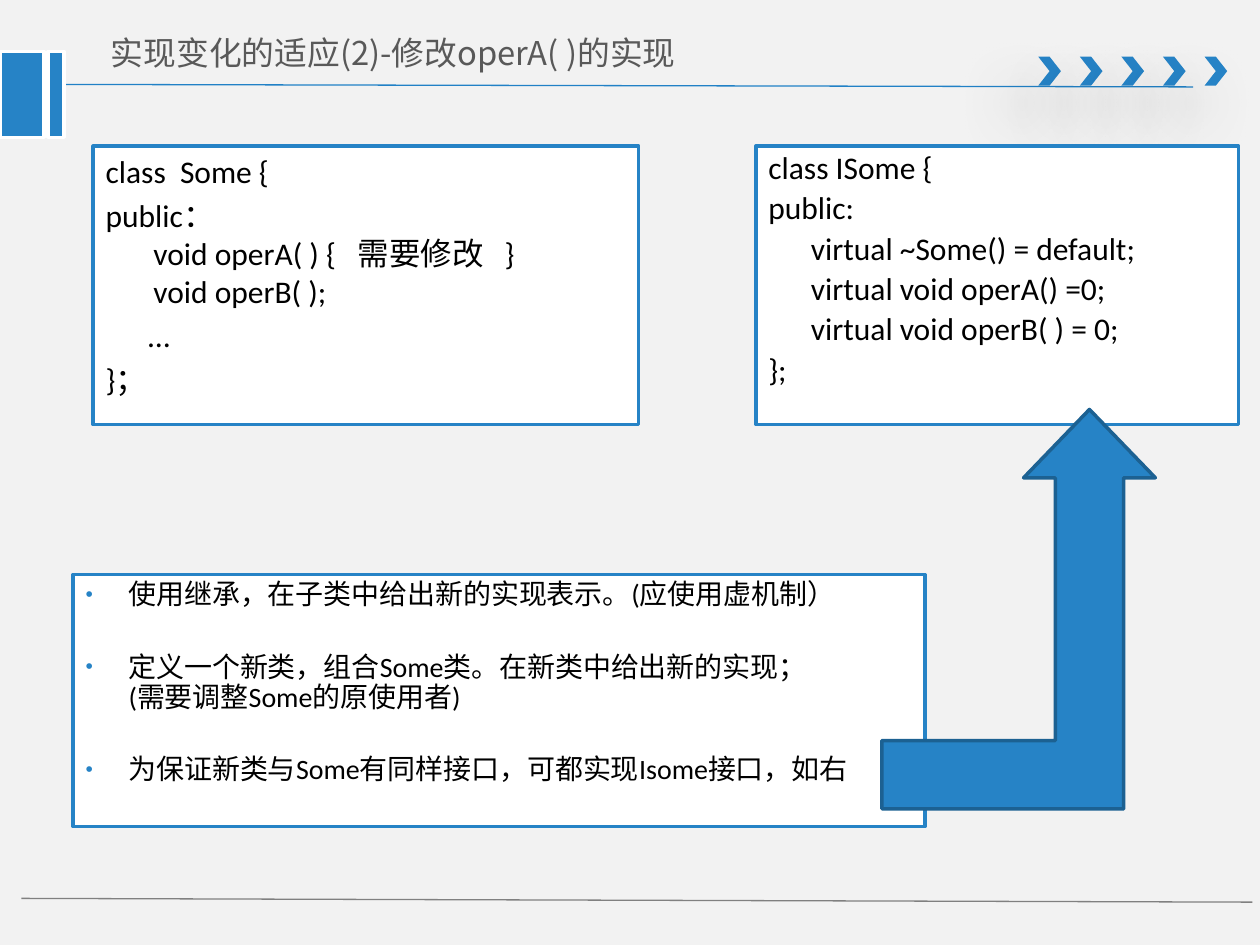
from pptx import Presentation
from pptx.dml.color import RGBColor
from pptx.enum.shapes import MSO_CONNECTOR, MSO_SHAPE
from pptx.enum.text import MSO_ANCHOR, MSO_AUTO_SIZE, PP_ALIGN
from pptx.oxml.ns import qn
from pptx.oxml.xmlchemy import OxmlElement
from pptx.util import Inches, Pt

RECTANGLE = MSO_SHAPE.RECTANGLE
CHEVRON = MSO_SHAPE.CHEVRON
BENT_ARROW = MSO_SHAPE.BENT_UP_ARROW
STRAIGHT = MSO_CONNECTOR.STRAIGHT
TOP, MIDDLE = MSO_ANCHOR.TOP, MSO_ANCHOR.MIDDLE
LEFT = PP_ALIGN.LEFT
NO_FIT = MSO_AUTO_SIZE.NONE

BLUE, DARK_BLUE, LINE_BLUE = "2683C6", "1C6192", "2181C6"
WHITE, BLACK, GREY, TITLE_GREY, BACKGROUND = "FFFFFF", "000000", "808080", "595959", "F2F2F2"
LATIN, CHINESE = "Calibri", "Noto Sans CJK SC"

SOME_CLASS = [
    "class  Some {",
    "public：\nvoid operA( ) {   需要修改   }\nvoid operB( );",
    "      …",
    "}；",
]
INTERFACE_CLASS = [
    "class ISome {",
    "public:",
    "      virtual ~Some() = default;",
    "      virtual void operA() =0;",
    "      virtual void operB( ) = 0;",
    "};",
]
OPTIONS = [
    "使用继承，在子类中给出新的实现表示。(应使用虚机制）",
    "定义一个新类，组合Some类。在新类中给出新的实现；\n(需要调整Some的原使用者)",
    "为保证新类与Some有同样接口，可都实现Isome接口，如右",
]


def color(value):
    return RGBColor.from_string(value)


def add_element(parent, tag, **attributes):
    element = OxmlElement(tag)
    for name, value in attributes.items():
        element.set(name, str(value))
    parent.append(element)
    return element


def place(shape, left, top, width, height):
    shape.left, shape.top = Inches(left), Inches(top)
    shape.width, shape.height = Inches(width), Inches(height)


def paint(shape, fill, line=None):
    shape.fill.solid()
    shape.fill.fore_color.rgb = color(fill)
    if line:
        shape.line.color.rgb = color(line)
        shape.line.width = Pt(2)
    else:
        shape.line.fill.background()


def add_box(page, kind, area, fill, line=None):
    box = page.shapes.add_shape(kind, *[Inches(length) for length in area])
    box.shadow.inherit = False
    paint(box, fill, line)
    return box


def add_line(page, start, end, line_color):
    line = page.shapes.add_connector(STRAIGHT, *[Inches(length) for length in start + end])
    line.line.color.rgb = color(line_color)
    line.line.width = Pt(0.75)
    add_element(line._element.spPr, "a:effectLst")


def add_soft_shadow(shape):
    effects = shape._element.spPr.find(qn("a:effectLst"))
    shadow = add_element(effects, "a:outerShdw", blurRad=Pt(36), dist=Pt(24),
                         dir=130 * 60000, algn="tl", rotWithShape=0)
    black = add_element(shadow, "a:srgbClr", val=BLACK)
    add_element(black, "a:alpha", val=38000)


def add_bullet(para):
    properties = para._p.get_or_add_pPr()
    bullet_color = add_element(properties, "a:buClr")
    add_element(bullet_color, "a:srgbClr", val=BLUE)
    add_element(properties, "a:buSzPct", val=75000)
    add_element(properties, "a:buFont", typeface="Arial")
    add_element(properties, "a:buChar", char="•")


def write(shape, paragraphs, size, font=LATIN, text_color=BLACK, anchor=TOP,
          margins=(0.1, 0.05), hanging=0, spacing=1, before=0, bullet=False):
    frame = shape.text_frame
    frame.word_wrap = True
    frame.auto_size = NO_FIT
    frame.vertical_anchor = anchor
    frame.margin_left = frame.margin_right = Inches(margins[0])
    frame.margin_top = frame.margin_bottom = Inches(margins[1])
    for index, text in enumerate(paragraphs):
        para = frame.add_paragraph() if index else frame.paragraphs[0]
        para.text = text
        para.alignment = LEFT
        para.line_spacing = spacing
        para.space_before = Pt(before if index else 0)
        properties = para._p.get_or_add_pPr()
        properties.set("marL", str(Inches(hanging)))
        properties.set("indent", str(Inches(-hanging)))
        if bullet:
            add_bullet(para)
        for span in para.runs:
            span.font.size = Pt(size)
            span.font.name = font
            span.font.color.rgb = color(text_color)
            add_element(span._r.get_or_add_rPr(), "a:ea", typeface=CHINESE)
        # Line breaks take the size of the text around them
        for line_break in para._p.findall(qn("a:br")):
            add_element(line_break, "a:rPr", sz=int(size * 100))


def add_decoration(page):
    add_line(page, (0.4, 0.67), (9.47, 0.69), LINE_BLUE)
    for index in range(5):
        chevron = add_box(page, CHEVRON, (8.24 + 0.33 * index, 0.45, 0.18, 0.23), BLUE)
        add_soft_shadow(chevron)
    add_line(page, (0.17, 7.13), (9.94, 7.16), GREY)
    for left, width in ((0, 0.35), (0.38, 0.13)):
        add_box(page, RECTANGLE, (left, 0.41, width, 0.68), BLUE, WHITE)


def main():
    deck = Presentation()
    deck.slide_width, deck.slide_height = Inches(10), Inches(7.5)
    page = deck.slides.add_slide(deck.slide_layouts[1])
    page.background.fill.solid()
    page.background.fill.fore_color.rgb = color(BACKGROUND)
    add_decoration(page)

    # Title
    title = page.shapes.title
    place(title, 0.74, 0.14, 5.68, 0.55)
    write(title, ["实现变化的适应(2)-修改operA( )的实现"], 18.7, font=CHINESE,
          text_color=TITLE_GREY, anchor=MIDDLE, margins=(0.14, 0.07))

    # Class definitions
    some_box = add_box(page, RECTANGLE, (0.74, 1.16, 4.33, 2.21), WHITE, BLUE)
    write(some_box, SOME_CLASS, 18, hanging=0.38, before=3.6)
    interface_box = add_box(page, RECTANGLE, (6, 1.16, 3.83, 2.21), WHITE, BLUE)
    write(interface_box, INTERFACE_CLASS, 18, spacing=0.9, before=3.6)

    # Ways to change the implementation
    options = page.placeholders[1]
    place(options, 0.58, 4.56, 6.76, 2)
    paint(options, WHITE, BLUE)
    write(options, OPTIONS, 16, hanging=0.34, spacing=0.9, before=24, bullet=True)

    # Arrow from the options to the interface
    arrow = add_box(page, BENT_ARROW, (7, 3.25, 2.17, 3.17), BLUE, DARK_BLUE)
    for index, value in enumerate((0.25, 0.241, 0.25)):
        arrow.adjustments[index] = value

    deck.save("out.pptx")


if __name__ == "__main__":
    main()
